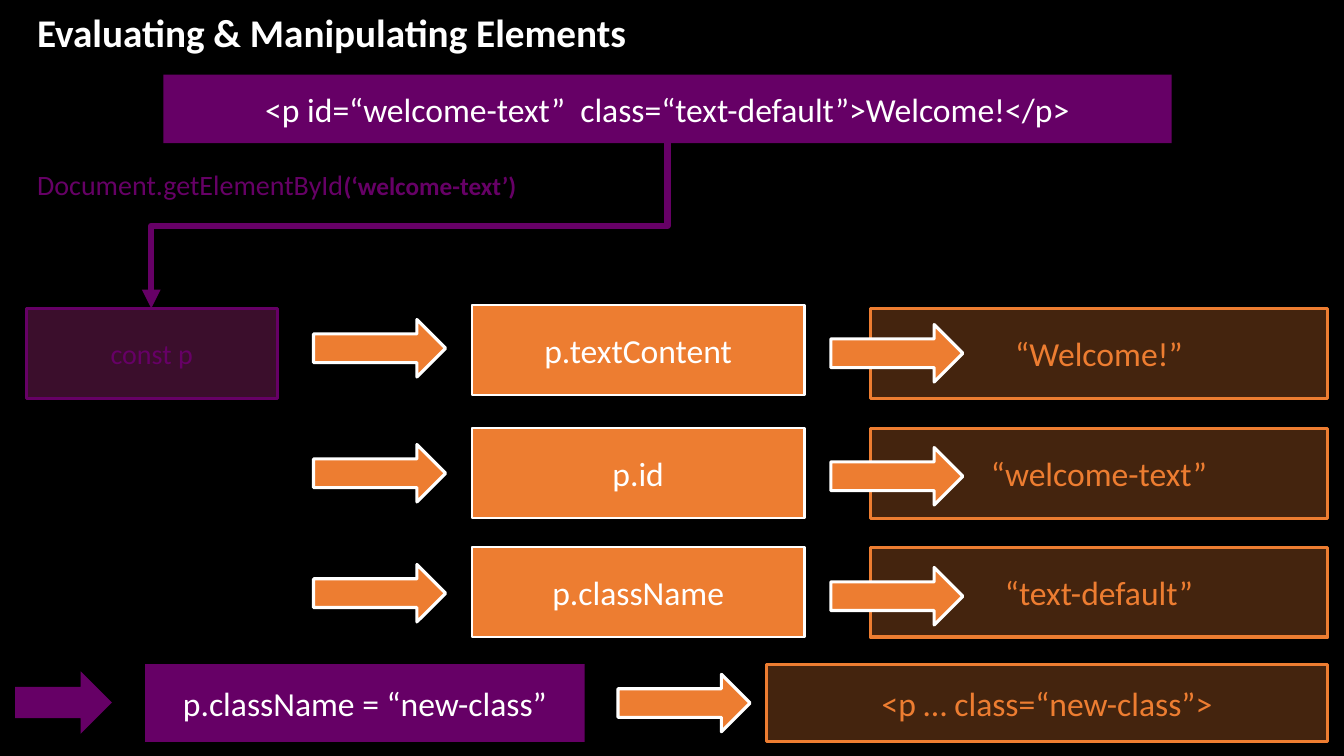
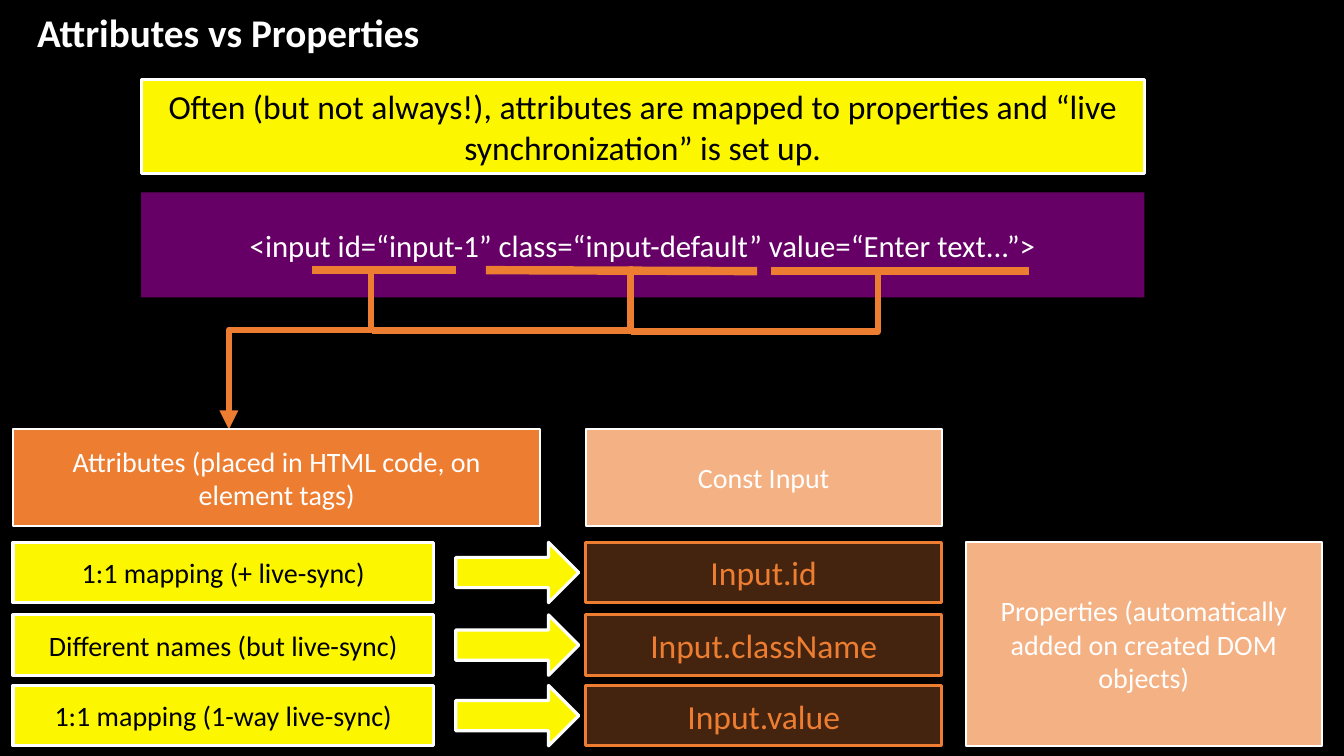
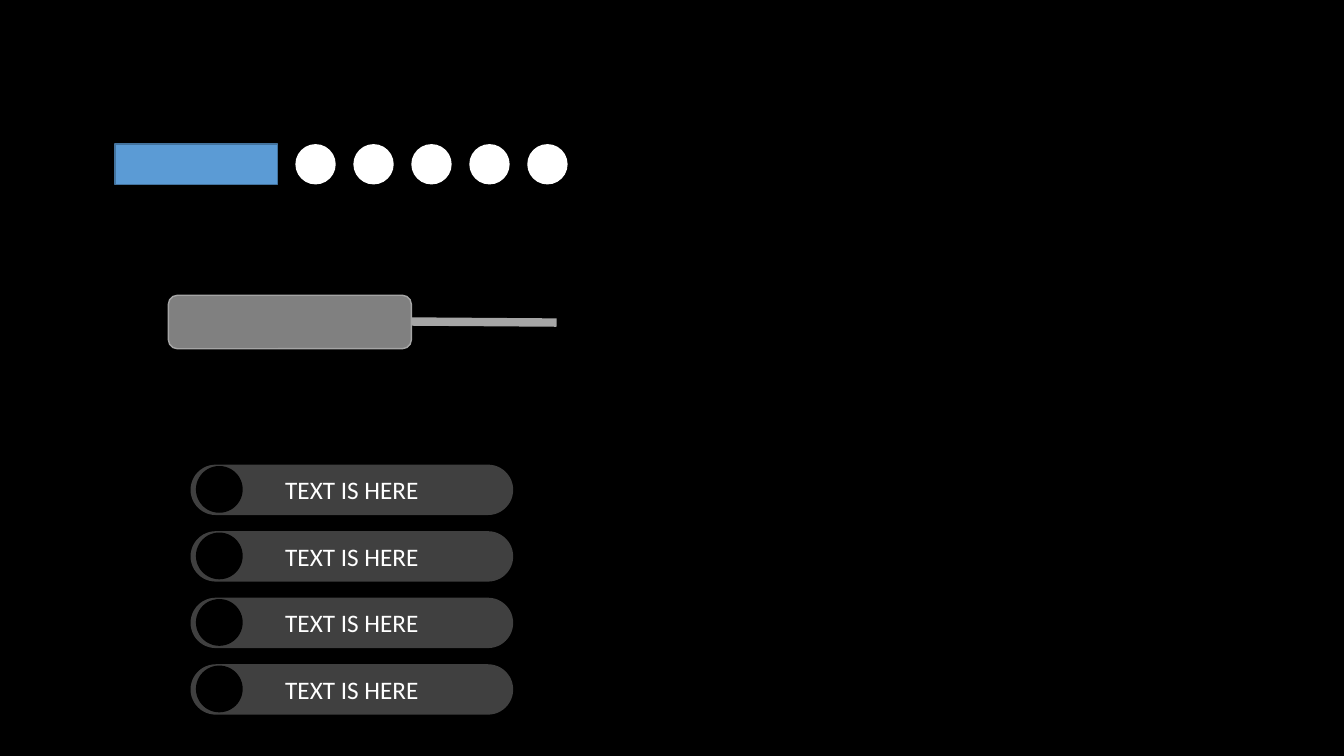
from lxml.etree import SubElement
from pptx import Presentation
from pptx.dml.color import RGBColor
from pptx.enum.shapes import MSO_CONNECTOR, MSO_SHAPE
from pptx.enum.text import MSO_ANCHOR, MSO_AUTO_SIZE, PP_ALIGN
from pptx.oxml.ns import qn
from pptx.util import Inches, Pt

PURPLE, ORANGE, PEACH = "660066", "ED7D31", "F4B183"
YELLOW, WHITE, BLACK, MAGENTA = "FCF600", "FFFFFF", "000000", "CC3399"
FONT = "Calibri"
RECTANGLE, ARROW = MSO_SHAPE.RECTANGLE, MSO_SHAPE.RIGHT_ARROW
OVAL, ROUNDED = MSO_SHAPE.OVAL, MSO_SHAPE.ROUNDED_RECTANGLE

# Looks shared by the boxes and arrows
SOLID = {"fill": ORANGE, "line": WHITE, "weight": 1.5}
PALE = {"fill": PEACH, "line": WHITE, "weight": 1.5, "size": 20}
OUTLINED = {"fill": ORANGE, "opacity": 29, "line": ORANGE, "weight": 2.25, "color": ORANGE}
HIGHLIGHT = {"fill": YELLOW, "line": WHITE, "weight": 2.25, "color": BLACK}
ORANGE_ARROW = {"kind": ARROW, "fill": ORANGE, "line": WHITE, "weight": 2.25}
YELLOW_ARROW = {"kind": ARROW, "fill": YELLOW, "line": WHITE, "weight": 2.25}


def add_block(shapes, box, text="", kind=RECTANGLE, fill=ORANGE, opacity=100,
              line=None, weight=1, size=24, color=WHITE):
    """Add a preset shape with centred text; box is left, top, width, height."""
    shape = shapes.add_shape(kind, *map(Inches, box))
    shape.shadow.inherit = False
    shape.fill.solid()
    shape.fill.fore_color.rgb = RGBColor.from_string(fill)
    if opacity < 100:
        fill_color = shape.fill._xPr.find(qn("a:solidFill"))[0]
        SubElement(fill_color, qn("a:alpha"), val=str(opacity * 1000))
    if line:
        shape.line.color.rgb = RGBColor.from_string(line)
        shape.line.width = Pt(weight)
    else:
        shape.line.fill.background()
    if text:
        shape.text_frame.vertical_anchor = MSO_ANCHOR.MIDDLE
        paragraph = shape.text_frame.paragraphs[0]
        paragraph.alignment = PP_ALIGN.CENTER
        run = paragraph.add_run()
        run.text = text
        run.font.color.rgb = RGBColor.from_string(color)
        for name, value in {"name": FONT, "size": Pt(size)}.items():
            setattr(run.font, name, value)
    return shape


def add_line(slide, start, end, color, weight, bend=None, downward=False,
             arrow=False, joined=None):
    """Add a connector; bend is the elbow's place as a share of its first direction."""
    kind = MSO_CONNECTOR.STRAIGHT if bend is None else MSO_CONNECTOR.ELBOW
    connector = slide.shapes.add_connector(kind, *map(Inches, start + end))
    connector.line.color.rgb = RGBColor.from_string(color)
    connector.line.width = Pt(weight)
    if joined:
        connector.begin_connect(joined[0], 2)
        connector.end_connect(joined[1], 0)
    properties = connector._element.spPr
    if downward:
        # A quarter turn makes the elbow leave its start vertically
        across, down = start[0] - end[0], end[1] - start[1]
        connector.left = Inches((start[0] + end[0] - down) / 2)
        connector.top = Inches((start[1] + end[1] - across) / 2)
        connector.width, connector.height = Inches(down), Inches(across)
        transform = properties.find(qn("a:xfrm"))
        transform.set("rot", "5400000")
        transform.set("flipH", "0")
    if bend is not None:
        geometry = properties.find(qn("a:prstGeom"))
        adjustments = geometry.find(qn("a:avLst"))
        if adjustments is None:
            adjustments = SubElement(geometry, qn("a:avLst"))
        SubElement(adjustments, qn("a:gd"), name="adj1", fmla=f"val {round(bend * 100000)}")
    if arrow:
        SubElement(properties.find(qn("a:ln")), qn("a:tailEnd"), type="triangle")
    SubElement(properties, qn("a:effectLst"))


presentation = Presentation()
presentation.slide_width, presentation.slide_height = Inches(13.33), Inches(7.5)
background = presentation.slide_master.background.fill
background.solid()
background.fore_color.rgb = RGBColor.from_string(BLACK)
elements, attributes, parts = [
    presentation.slides.add_slide(presentation.slide_layouts[6]) for _ in range(3)
]

# Titles and the call label: slide, box, colour, runs of (text, size, bold)
text_boxes = [
    (elements, (0.27, 0.03, 6.57, 0.57), WHITE,
     [("Evaluating & Manipulating Elements", 28, True)]),
    (attributes, (0.27, 0.03, 6.57, 0.57), WHITE,
     [("Attributes vs Properties", 28, True)]),
    (elements, (0.27, 1.61, 5.14, 0.44), PURPLE,
     [("Document.getElementById", 20, False), ("(‘welcome-text’)", 18, True)]),
]
for slide, box, color, runs in text_boxes:
    frame = slide.shapes.add_textbox(*map(Inches, box)).text_frame
    frame.word_wrap = True
    frame.auto_size = MSO_AUTO_SIZE.SHAPE_TO_FIT_TEXT
    for text, size, bold in runs:
        run = frame.paragraphs[0].add_run()
        run.text = text
        run.font.color.rgb = RGBColor.from_string(color)
        for name, value in {"name": FONT, "size": Pt(size), "bold": bold}.items():
            setattr(run.font, name, value)

# Slide 1: reading and changing an element
shapes = elements.shapes
markup = add_block(shapes, (1.62, 0.74, 10, 0.68),
                   "<p id=“welcome-text”\u00a0 class=“text-default”>Welcome!</p>".replace("\u00a0", " "),
                   fill=PURPLE)
constant = add_block(shapes, (0.26, 3.06, 2.49, 0.89), "const p", fill=MAGENTA, opacity=29,
                     line=PURPLE, weight=2.25, size=20, color=PURPLE)
add_line(elements, (6.62, 1.42), (1.5, 3.06), PURPLE, 4.5, bend=0.5, downward=True,
         arrow=True, joined=(markup, constant))
# Property, value, then the tops of property, value, left arrow and right arrow
property_rows = [
    ("p.textContent", "“Welcome!”", 3.03, 3.06, 3.17, 3.22),
    ("p.id", "“welcome-text”", 4.25, 4.25, 4.41, 4.44),
    ("p.className", "“text-default”", 5.43, 5.43, 5.6, 5.63),
]
for name, value, name_top, value_top, left_arrow_top, right_arrow_top in property_rows:
    add_block(shapes, (4.68, name_top, 3.3, 0.89), name, **SOLID)
    add_block(shapes, (8.63, value_top, 4.54, 0.89), value, **OUTLINED)
    add_block(shapes, (3.11, left_arrow_top, 1.31, 0.57), **ORANGE_ARROW)
    add_block(shapes, (8.24, right_arrow_top, 1.31, 0.57), **ORANGE_ARROW)
add_block(shapes, (0.15, 6.66, 0.96, 0.62), kind=ARROW, fill=PURPLE)
add_block(shapes, (1.44, 6.59, 4.36, 0.77), "p.className = “new-class”", fill=PURPLE)
add_block(shapes, (6.13, 6.69, 1.31, 0.57), **ORANGE_ARROW)
add_block(shapes, (7.6, 6.59, 5.57, 0.77), "<p … class=“new-class”>", **OUTLINED)

# Slide 2: how attributes map to properties
shapes = attributes.shapes
add_block(shapes, (1.4, 0.79, 9.95, 0.93),
          "Often (but not always!), attributes are mapped to properties and "
          "“live synchronization” is set up.", **HIGHLIGHT)
add_block(shapes, (1.4, 1.91, 9.95, 1.04),
          "<input id=“input-1” class=“input-default” value=“Enter text...”>",
          fill=PURPLE, size=22)
for start, end in [((3.09, 2.68), (4.52, 2.68)), ((4.82, 2.68), (7.51, 2.69)),
                   ((7.65, 2.69), (10.21, 2.69))]:
    add_line(attributes, start, end, ORANGE, 6)
add_line(attributes, (3.68, 2.69), (2.27, 4.26), ORANGE, 4.5, bend=0.37, downward=True, arrow=True)
add_line(attributes, (6.28, 2.67), (3.69, 3.28), ORANGE, 4.5, bend=0.01)
add_line(attributes, (9.21, 2.7), (6.26, 3.29), ORANGE, 4.5, bend=0.17)
add_block(shapes, (0.13, 4.26, 5.23, 0.96),
          "Attributes (placed in HTML code, on element tags)", size=20, **SOLID)
add_block(shapes, (5.81, 4.26, 3.53, 0.96), "Const Input", **PALE)
mapping_rows = [
    (5.38, "1:1 mapping (+ live-sync)", "Input.id"),
    (6.1, "Different names (but live-sync)", "Input.className"),
    (6.8, "1:1 mapping (1-way live-sync)", "Input.value"),
]
for top, mapping, name in mapping_rows:
    add_block(shapes, (0.13, top, 4.17, 0.6), mapping, size=20, **HIGHLIGHT)
    add_block(shapes, (4.52, top, 1.22, 0.6), **YELLOW_ARROW)
    add_block(shapes, (5.81, top, 3.53, 0.6), name, **OUTLINED)
add_block(shapes, (9.58, 5.38, 3.53, 2.02),
          "Properties (automatically added on created DOM objects)", **PALE)

# Slide 3: spare parts
dots = parts.shapes.add_group_shape().shapes
for index in range(5):
    add_block(dots, (2.93 + 0.575 * index, 1.43, 0.4, 0.4), kind=OVAL, fill=WHITE)
add_block(dots, (1.14, 1.43, 1.61, 0.4), fill="5B9BD5", line="43739E")

handle = add_block(parts.shapes, (1.67, 2.93, 2.41, 0.53), kind=ROUNDED,
                   fill="808080", line="A5A5A5")
add_line(parts, (4.08, 3.19), (5.52, 3.2), "A6A6A6", 6)

pills = parts.shapes.add_group_shape().shapes
for index in range(4):
    top = 4.61 + 0.66 * index
    pill = add_block(pills, (1.89, top, 3.2, 0.5), "TEXT IS HERE", kind=ROUNDED,
                     fill=WHITE, opacity=25, size=18)
    pill.adjustments[0] = 0.5
    add_block(pills, (1.95, top + 0.02, 0.45, 0.45), kind=OVAL, fill=BLACK, line=BLACK)

presentation.save("out.pptx")
